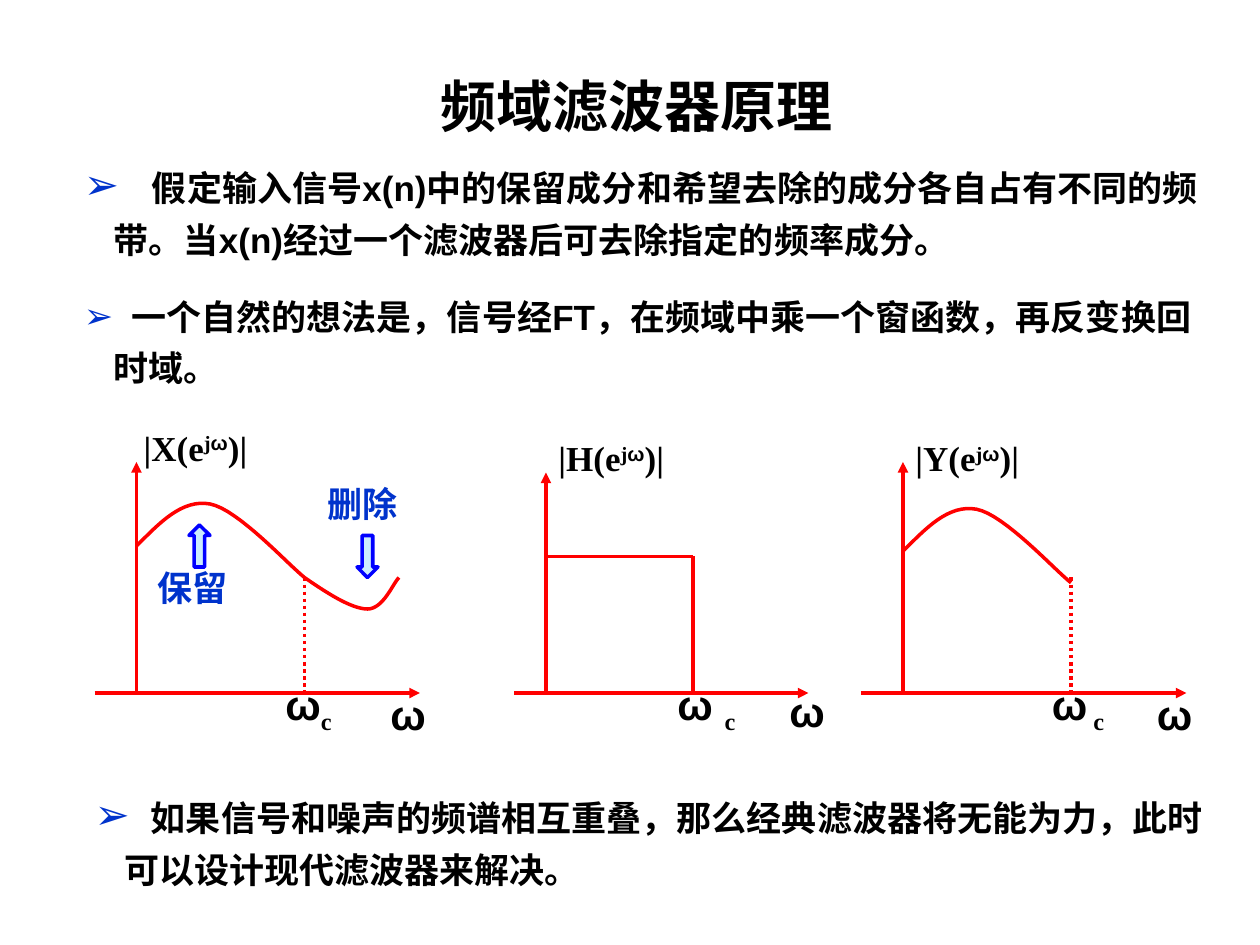
from lxml.etree import SubElement
from pptx import Presentation
from pptx.dml.color import RGBColor
from pptx.enum.dml import MSO_LINE
from pptx.enum.shapes import MSO_CONNECTOR, MSO_SHAPE
from pptx.enum.text import MSO_ANCHOR, MSO_AUTO_SIZE, PP_ALIGN
from pptx.oxml.ns import qn
from pptx.util import Pt

RED, BLUE, BLACK = "FF0000", "0033CC", "000000"
SERIF, SANS, CJK = "Times New Roman", "Arial", "Noto Sans CJK SC"


def rgb(value):
    return RGBColor.from_string(value)


def add_text(tf, text, size=20, font=SANS, color=BLACK, base=0, spacing=0):
    r = tf.paragraphs[0].add_run()
    r.text = text
    r.font.size = Pt(size)
    r.font.bold = True
    r.font.name = font
    r.font.color.rgb = rgb(color)
    rPr = r._r.get_or_add_rPr()
    SubElement(rPr, qn("a:ea")).set("typeface", CJK)
    if base:
        rPr.set("baseline", str(base * 1000))
    if spacing:
        rPr.set("spc", str(round(spacing * 100)))


prs = Presentation()
prs.slide_width, prs.slide_height = Pt(720), Pt(540)
s = prs.slides.add_slide(prs.slide_layouts[4])
title, *bodies = s.placeholders

items = [
    (48, 84, 648, 63, 7, 24, 13.3,
     "假定输入信号x(n)中的保留成分和希望去除的成分各自占有不同的频带。当x(n)经过一个滤波器后可去除指定的频率成分。"),
    (48, 162, 648, 58, 2, 20, 5.6,
     "一个自然的想法是，信号经FT，在频域中乘一个窗函数，再反变换回时域。"),
    (54, 444, 642, 63, 7, 24, 6.7,
     "如果信号和噪声的频谱相互重叠，那么经典滤波器将无能为力，此时可以设计现代滤波器来解决。"),
]
frames = [(title, 238, 30, 252, 46, 3, 46)]
frames += [(body, *item[:5], 29) for body, item in zip(bodies, items)]
for sp, x, y, w, h, inset, pitch in frames:
    sp.left, sp.top, sp.width, sp.height = Pt(x), Pt(y), Pt(w), Pt(h)
    tf = sp.text_frame
    tf.word_wrap = True
    tf.auto_size = MSO_AUTO_SIZE.NONE
    tf.vertical_anchor = MSO_ANCHOR.TOP
    tf.margin_left = tf.margin_right = tf.margin_bottom = 0
    tf.margin_top = Pt(inset)
    tf.paragraphs[0].line_spacing = Pt(pitch)
    tf.paragraphs[0].space_before = Pt(0)

title.text_frame.paragraphs[0].alignment = PP_ALIGN.CENTER
add_text(title.text_frame, "频域滤波器原理", size=32, font=CJK)

for body, (*_, lead, gap, text) in zip(bodies, items):
    p = body.text_frame.paragraphs[0]
    p.alignment = PP_ALIGN.LEFT
    pPr = p._p.get_or_add_pPr()
    pPr.set("marL", str(Pt(17)))
    pPr.set("indent", str(-Pt(17)))
    SubElement(SubElement(pPr, qn("a:buClr")), qn("a:srgbClr")).set("val", BLUE)
    SubElement(pPr, qn("a:buFont")).set("typeface", SANS)
    SubElement(pPr, qn("a:buChar")).set("char", "➢")
    add_text(body.text_frame, " ", size=lead, spacing=gap)
    add_text(body.text_frame, text)

for body in bodies[len(items):]:
    body._element.getparent().remove(body._element)

for shape, x, y in [(MSO_SHAPE.DOWN_ARROW, 204, 306), (MSO_SHAPE.UP_ARROW, 108, 300)]:
    sp = s.shapes.add_shape(shape, Pt(x), Pt(y), Pt(12), Pt(24))
    sp.shadow.inherit = False
    sp.fill.solid()
    sp.fill.fore_color.rgb = rgb("CCECFF")
    sp.line.color.rgb = rgb("0000FF")
    sp.line.width = Pt(2)

floor = 396
lines = []
for x0, x1, x2, y in [(54, 78, 240, 264), (294, 312, 462, 270), (492, 516, 678, 264)]:
    lines += [(x1, floor, x1, y, "arrow"), (x0, floor, x2, floor, "arrow")]
lines += [(x, 330, x, floor, "dots") for x in (174, 612)]
lines += [(312, 318, 396, 318, "plain"), (396, 318, 396, floor, "plain")]
for x1, y1, x2, y2, style in lines:
    c = s.shapes.add_connector(MSO_CONNECTOR.STRAIGHT, Pt(x1), Pt(y1), Pt(x2), Pt(y2))
    c.line.color.rgb = rgb(RED)
    c.line.width = Pt(2)
    if style == "dots":
        c.line.dash_style = MSO_LINE.ROUND_DOT
    if style == "arrow":
        SubElement(c.line._get_or_add_ln(), qn("a:tailEnd")).set("type", "triangle")
    SubElement(c._element.spPr, qn("a:effectLst"))

hump = [(0, 0), (13, -13), (26, -27), (42, -24), (58, -21), (87, 11), (96, 18)]
dip = [(0, 0), (13, 9), (27, 18), (36, 18), (45, 18), (50.5, 3.5), (54, 0)]
steps = 16
for x, y, curve in [(78, 312, hump), (174, 330, dip), (516, 315, hump)]:
    points = []
    for i in (0, 3):
        a, b, c, d = curve[i:i + 4]
        for k in range(1, steps + 1):
            t = k / steps
            u = 1 - t
            points.append([Pt(o + u**3 * a[n] + 3 * u * u * t * b[n] + 3 * u * t * t * c[n] + t**3 * d[n])
                           for n, o in enumerate((x, y))])
    fb = s.shapes.build_freeform(Pt(x), Pt(y))
    fb.add_line_segments(points, close=False)
    sp = fb.convert_to_shape()
    sp.shadow.inherit = False
    sp.fill.background()
    sp.line.color.rgb = rgb(RED)
    sp.line.width = Pt(2)

labels = [(x, y, 66, 32, None, [(text, dict(color=BLUE, font=SERIF))])
          for x, y, text in [(83, 318, "保留"), (180, 270, "删除")]]
for name, x, y in [("X", 75, 240), ("H", 312, 246), ("Y", 516, 246)]:
    labels.append((x, y, 126, 32, None, [
        (f"|{name}(e", dict(font=SERIF)), ("j", dict(font=SERIF, base=30)),
        ("ω", dict(base=30)), (")|", dict(font=SERIF))]))
for x, y in [(216, 390), (444, 388), (654, 390)]:
    labels.append((x, y, 36, 36, None, [("ω", dict(size=24))]))
for x, omega, sub in [(156, "ω", "c"), (380, "ω ", "c"), (594, "ω", " c")]:
    labels.append((x, 384, 60, 40, None, [
        (omega, dict(size=24)), (sub, dict(size=24, font=SERIF, base=-25))]))
for x, y, w, h, _, runs in labels:
    tf = s.shapes.add_textbox(Pt(x), Pt(y), Pt(w), Pt(h)).text_frame
    tf.word_wrap = True
    if runs[0][1].get("color") == BLUE:
        tf.paragraphs[0].line_spacing = Pt(26)
    for text, fmt in runs:
        add_text(tf, text, **fmt)

prs.save("out.pptx")
